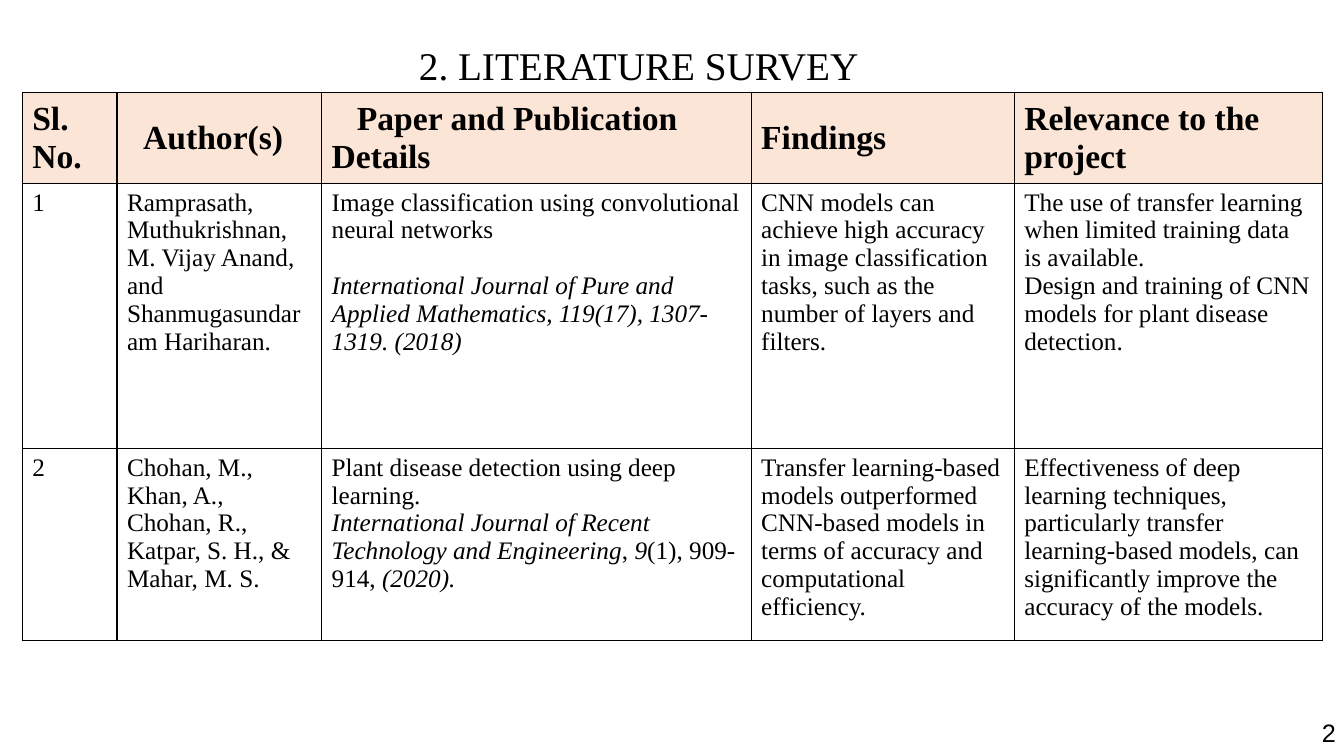
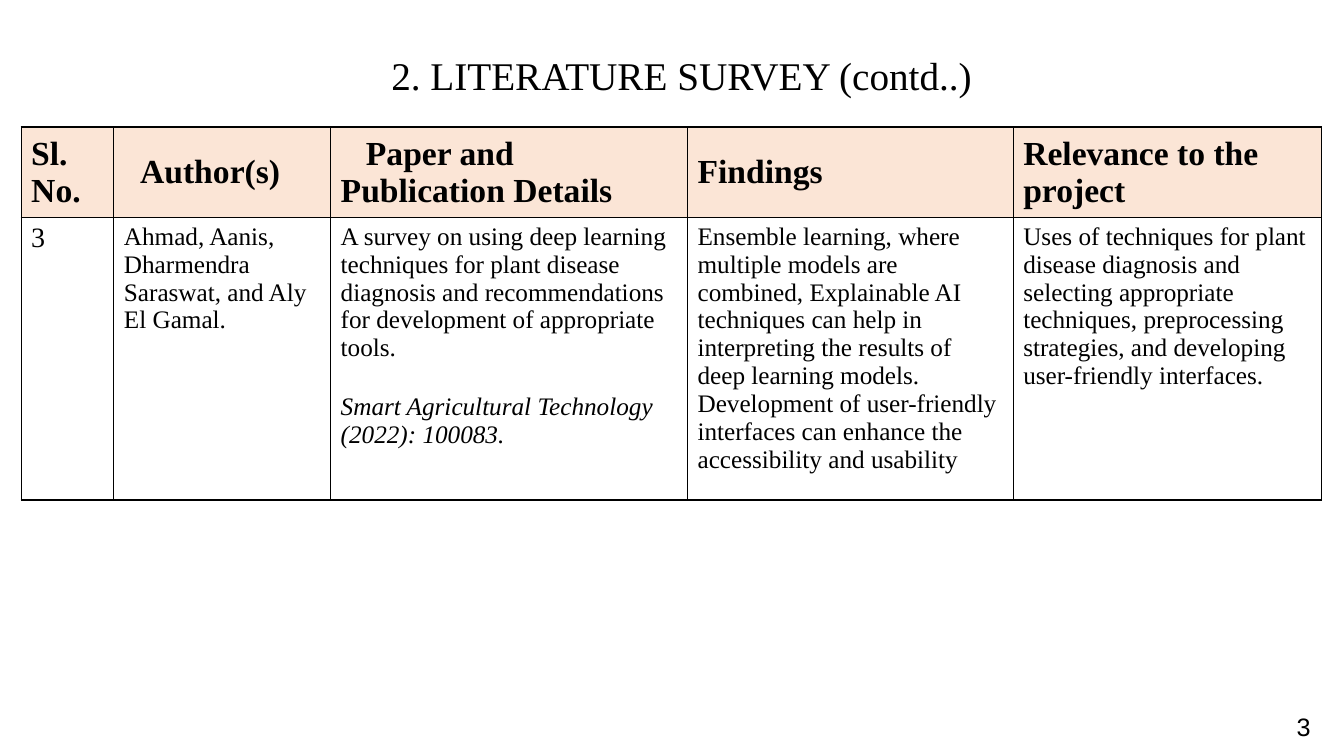
import pptx
import pptx.dml.color
import pptx.enum.text
import pptx.oxml
import pptx.oxml.ns
import pptx.util

Inches = pptx.util.Inches
Align = pptx.enum.text.PP_ALIGN
Anchor = pptx.enum.text.MSO_ANCHOR

# Shared look
SERIF, SANS = "Times New Roman", "Arial"
BLACK, PEACH = "000000", "FBE5D6"
HEADER_HEIGHT = 0.83
HEADINGS = ["Sl. No.", "Author(s)", "Paper and Publication Details",
            "Findings", "Relevance to the project"]
HEADING_INDENTS = [0, 0.16, 0.25, 0, 0]
PAPER_COLUMN = 2


def hex_color(value):
    return pptx.dml.color.RGBColor.from_string(value)


def write(frame, text, size=18, font=SERIF, color=BLACK, bold=False,
          align=Align.LEFT, indent=0, gap=0, spacing=1.0):
    """Write one paragraph a line; words between asterisks are italic."""
    frame.word_wrap = True
    for number, line in enumerate(text.split("\n")):
        para = frame.add_paragraph() if number else frame.paragraphs[0]
        para.alignment = align
        para.line_spacing = spacing
        para.space_before = pptx.util.Pt(gap if number else 0)
        if indent:
            para._p.get_or_add_pPr().set("indent", str(Inches(indent)))
        for part, words in enumerate(line.split("*")):
            if words:
                span = para.add_run()
                span.text = words
                span.font.size = pptx.util.Pt(size)
                span.font.name = font
                span.font.bold = bold
                span.font.italic = part % 2 == 1
                span.font.color.rgb = hex_color(color)


# Content of each slide
SURVEY = [
    {
        "title": "2. LITERATURE SURVEY",
        "title_place": (0.25, 0.22, 12.17, 0.9),
        "title_spacing": 0.9,
        "page": "2",
        "page_place": (13.11, 7.07, 0.15, 0.4),
        "table_corner": (0.22, 0.92),
        "columns": [0.94, 2.03, 4.26, 2.61, 3.06],
        "heights": [2.63, 1.77],
        "number_size": 18,
        "gaps": [20, 0],
        "papers": [
            ["1",
             "Ramprasath, Muthukrishnan, M. Vijay Anand, and "
             "Shanmugasundaram Hariharan.",
             "Image classification using convolutional neural networks\n"
             "*International Journal of Pure and Applied Mathematics, "
             "119(17), 1307-1319. (2018)*",
             "CNN models can achieve high accuracy in image classification "
             "tasks, such as the number of layers and filters.",
             "The use of transfer learning when limited training data is "
             "available.\nDesign and training of CNN models for plant "
             "disease detection."],
            ["2",
             "Chohan, M., Khan, A., Chohan, R., Katpar, S. H., & "
             "Mahar, M. S.",
             "Plant disease detection using deep learning.\n"
             "*International Journal of Recent Technology and "
             "Engineering*, *9*(1), 909-914, *(2020).*",
             "Transfer learning-based models outperformed CNN-based models "
             "in terms of accuracy and computational efficiency.",
             "Effectiveness of deep learning techniques, particularly "
             "transfer learning-based models, can significantly improve "
             "the accuracy of the models."],
        ],
    },
    {
        "title": "2. LITERATURE SURVEY (contd..)",
        "title_place": (2.1, 0.46, 9.32, 0.57),
        "title_spacing": 1.0,
        "page": "3",
        "page_place": (12.86, 7.01, 0.15, 0.4),
        "table_corner": (0.21, 1.26),
        "columns": [0.92, 2.15, 3.54, 3.23, 3.06],
        "heights": [2.6],
        "number_size": 20,
        "gaps": [22],
        "papers": [
            ["3",
             "Ahmad, Aanis, Dharmendra Saraswat, and Aly El Gamal.",
             "A survey on using deep learning techniques for plant disease "
             "diagnosis and recommendations for development of appropriate "
             "tools.\n*Smart Agricultural Technology (2022): 100083.*",
             "Ensemble learning, where multiple models are combined, "
             "Explainable AI techniques can help in interpreting the "
             "results of deep learning models.\nDevelopment of "
             "user-friendly interfaces can enhance the accessibility and "
             "usability",
             "Uses of techniques for plant disease diagnosis and selecting "
             "appropriate techniques, preprocessing strategies, and "
             "developing user-friendly interfaces."],
        ],
    },
]

deck = pptx.Presentation()
deck.slide_width, deck.slide_height = Inches(13.33), Inches(7.5)

for survey in SURVEY:
    page = deck.slides.add_slide(deck.slide_layouts[6])

    # Title and page number
    for text, place, style in [
        (survey["title"], survey["title_place"],
         {"size": 28, "align": Align.CENTER,
          "spacing": survey["title_spacing"]}),
        (survey["page"], survey["page_place"], {"font": SANS}),
    ]:
        box = page.shapes.add_textbox(*map(Inches, place))
        frame = box.text_frame
        frame.margin_left = frame.margin_right = 0
        frame.vertical_anchor = Anchor.MIDDLE
        write(frame, text, **style)

    # Table grid
    rows = [HEADINGS] + survey["papers"]
    heights = [HEADER_HEIGHT] + survey["heights"]
    columns = survey["columns"]
    left, top = survey["table_corner"]
    table = page.shapes.add_table(
        len(rows), len(columns), Inches(left), Inches(top),
        Inches(sum(columns)), Inches(sum(heights))).table
    table.horz_banding = False
    for column, width in zip(table.columns, columns):
        column.width = Inches(width)
    for row, height in zip(table.rows, heights):
        row.height = Inches(height)

    # Table cells
    for row_number, texts in enumerate(rows):
        for column_number, text in enumerate(texts):
            cell = table.cell(row_number, column_number)
            for side in ("lnL", "lnR", "lnT", "lnB"):
                cell._tc.get_or_add_tcPr().append(pptx.oxml.parse_xml(
                    f'<a:{side} {pptx.oxml.ns.nsdecls("a")} w="12700">'
                    f'<a:solidFill><a:srgbClr val="{BLACK}"/></a:solidFill>'
                    f'</a:{side}>'))
            if row_number == 0:
                cell.fill.solid()
                cell.fill.fore_color.rgb = hex_color(PEACH)
                cell.vertical_anchor = Anchor.MIDDLE
                write(cell.text_frame, text, size=24, bold=True,
                      indent=HEADING_INDENTS[column_number])
            else:
                cell.fill.background()
                is_paper = column_number == PAPER_COLUMN
                write(cell.text_frame, text,
                      size=18 if column_number else survey["number_size"],
                      gap=survey["gaps"][row_number - 1] if is_paper else 0)

deck.save("out.pptx")
